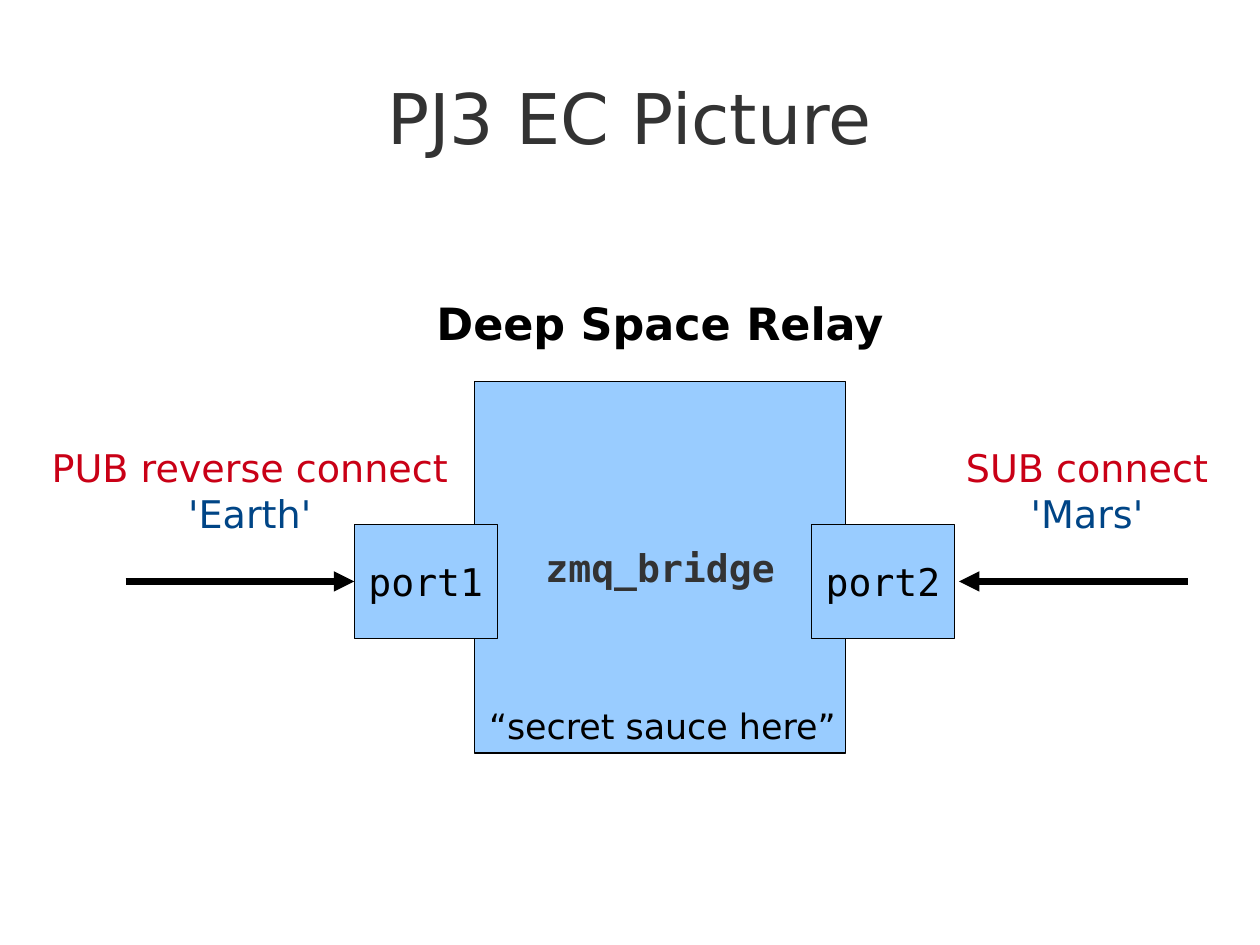
from dataclasses import dataclass

from lxml import etree
from pptx import Presentation
from pptx import util as u
from pptx.dml.color import RGBColor
from pptx.enum import shapes, text
from pptx.oxml import ns

WIDTH, HEIGHT = u.Cm(28), u.Cm(21)

BLACK = RGBColor(0x00, 0x00, 0x00)
CHARCOAL = RGBColor(0x33, 0x33, 0x33)
SKY = RGBColor(0x99, 0xCC, 0xFF)
RED = RGBColor(0xC9, 0x00, 0x16)
NAVY = RGBColor(0x00, 0x45, 0x86)

SANS, MONO = "DejaVu Sans", "DejaVu Sans Mono"
LEFT, CENTER = text.PP_ALIGN.LEFT, text.PP_ALIGN.CENTER


@dataclass(frozen=True)
class Area:
    """Position and size in percent of the slide."""
    left: float
    top: float
    width: float
    height: float

    def lengths(self) -> tuple[int, int, int, int]:
        return (across(self.left), down(self.top),
                across(self.width), down(self.height))


@dataclass(frozen=True)
class Style:
    size: int
    colors: tuple[RGBColor, ...] = (BLACK,)  # one per paragraph
    font: str = SANS
    bold: bool = False
    align: text.PP_ALIGN = CENTER


@dataclass(frozen=True)
class Item:
    wording: str
    area: Area
    style: Style


@dataclass(frozen=True)
class Arrow:
    start: float
    end: float


PORT = Style(24, font=MONO)
CONNECTION = Style(24, (RED, NAVY))
ARROW_LEVEL = 61.53

TITLE = Item("PJ3 EC Picture", Area(4.99, 3.99, 90, 16.69),
             Style(44, (CHARCOAL,)))
BOXES = [
    Item("zmq_bridge", Area(37.65, 40.38, 29.48, 39.3),
         Style(24, (CHARCOAL,), MONO, bold=True)),
    Item("port1", Area(28.12, 55.48, 11.34, 12.09), PORT),
    Item("port2", Area(64.41, 55.48, 11.34, 12.09), PORT),
]
LABELS = [
    Item("PUB reverse connect\n'Earth'", Area(3.18, 46.43, 33.3, 10.64), CONNECTION),
    Item("SUB connect\n'Mars'", Area(75.75, 46.43, 21.05, 10.64), CONNECTION),
    Item("Deep Space Relay", Area(33.75, 30.71, 37.28, 6.65),
         Style(28, bold=True, align=LEFT)),
    Item("“secret sauce here”", Area(37.92, 73.98, 29.3, 5.44),
         Style(22, align=LEFT)),
]
ARROWS = [Arrow(9.98, 28.12), Arrow(94.25, 76.11)]


def across(percent: float) -> int:
    return round(WIDTH * percent / 100)


def down(percent: float) -> int:
    return round(HEIGHT * percent / 100)


def write(shape, item: Item) -> None:
    """Set the wording, then format its paragraphs and runs."""
    style = item.style
    shape.text_frame.text = item.wording
    for paragraph, color in zip(shape.text_frame.paragraphs, style.colors):
        paragraph.alignment = style.align
        for run in paragraph.runs:
            run.font.name = style.font
            run.font.size = u.Pt(style.size)
            run.font.bold = style.bold
            run.font.color.rgb = color


def add_title(slide, item: Item) -> None:
    title = slide.shapes.title
    title.left, title.top, title.width, title.height = item.area.lengths()
    write(title, item)
    frame = title.text_frame
    frame.margin_left = frame.margin_right = 0
    frame.margin_top = frame.margin_bottom = 0
    frame.vertical_anchor = text.MSO_ANCHOR.MIDDLE
    frame.auto_size = text.MSO_AUTO_SIZE.SHAPE_TO_FIT_TEXT


def add_box(slide, item: Item) -> None:
    box = slide.shapes.add_shape(shapes.MSO_SHAPE.RECTANGLE, *item.area.lengths())
    box.shadow.inherit = False
    box.fill.solid()
    box.fill.fore_color.rgb = SKY
    box.line.color.rgb = BLACK
    box.line.width = u.Pt(0)
    write(box, item)
    box.text_frame.word_wrap = False
    box.text_frame.vertical_anchor = text.MSO_ANCHOR.MIDDLE


def add_label(slide, item: Item) -> None:
    label = slide.shapes.add_textbox(*item.area.lengths())
    write(label, item)
    label.text_frame.word_wrap = False
    label.text_frame.auto_size = text.MSO_AUTO_SIZE.SHAPE_TO_FIT_TEXT


def add_arrow(slide, arrow: Arrow) -> None:
    level = down(ARROW_LEVEL)
    connector = slide.shapes.add_connector(
        shapes.MSO_CONNECTOR.STRAIGHT,
        across(arrow.start), level, across(arrow.end), level)
    connector.line.color.rgb = BLACK
    connector.line.width = u.Pt(4.31)
    # Arrowhead at the end, no shadow
    properties = connector._element.spPr
    outline = properties.find(ns.qn("a:ln"))
    etree.SubElement(outline, ns.qn("a:tailEnd"), type="triangle")
    etree.SubElement(properties, ns.qn("a:effectLst"))


def main() -> None:
    presentation = Presentation()
    presentation.slide_width = WIDTH
    presentation.slide_height = HEIGHT
    # Custom size instead of the template's preset
    presentation.element.find(ns.qn("p:sldSz")).attrib.pop("type", None)
    title_only = presentation.slide_layouts[5]
    slide = presentation.slides.add_slide(title_only)

    add_title(slide, TITLE)

    # Relay with its two ports
    for box in BOXES:
        add_box(slide, box)

    # Incoming connections
    for arrow in ARROWS:
        add_arrow(slide, arrow)

    # Captions
    for label in LABELS:
        add_label(slide, label)

    presentation.save("out.pptx")


if __name__ == "__main__":
    main()
